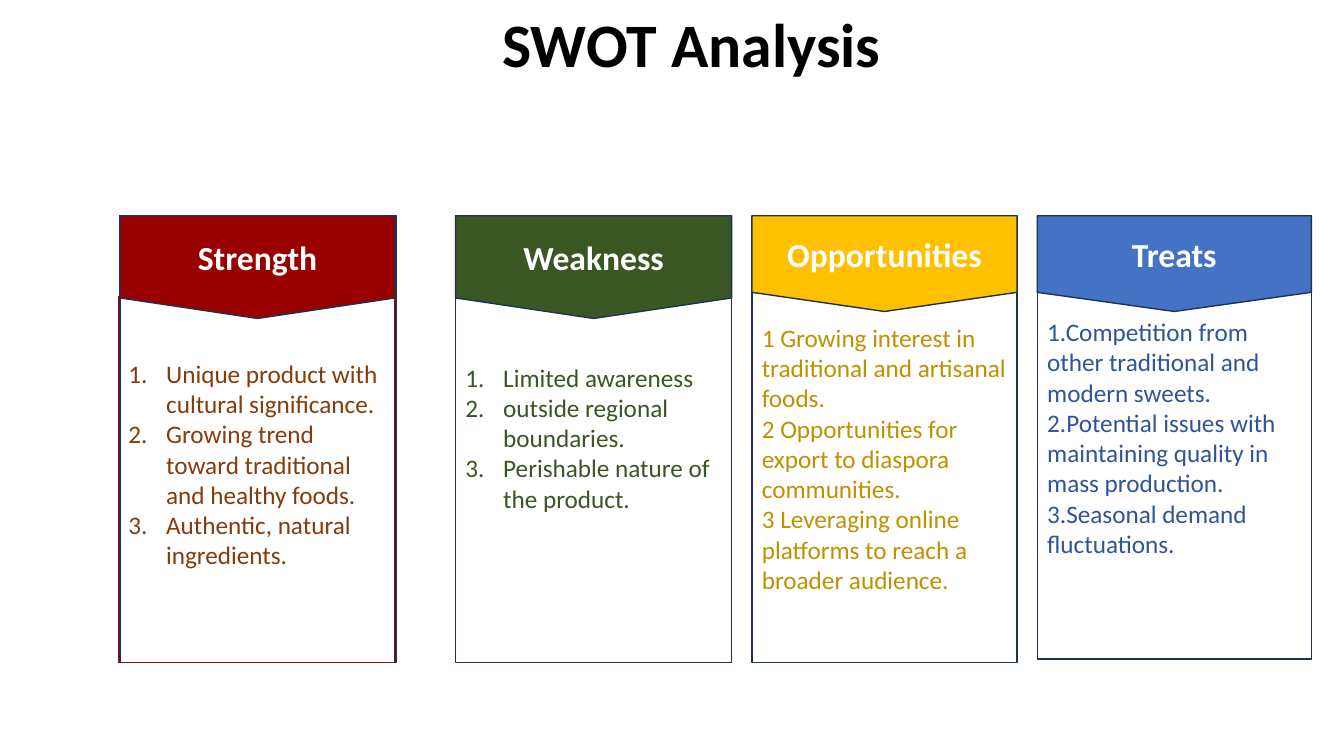
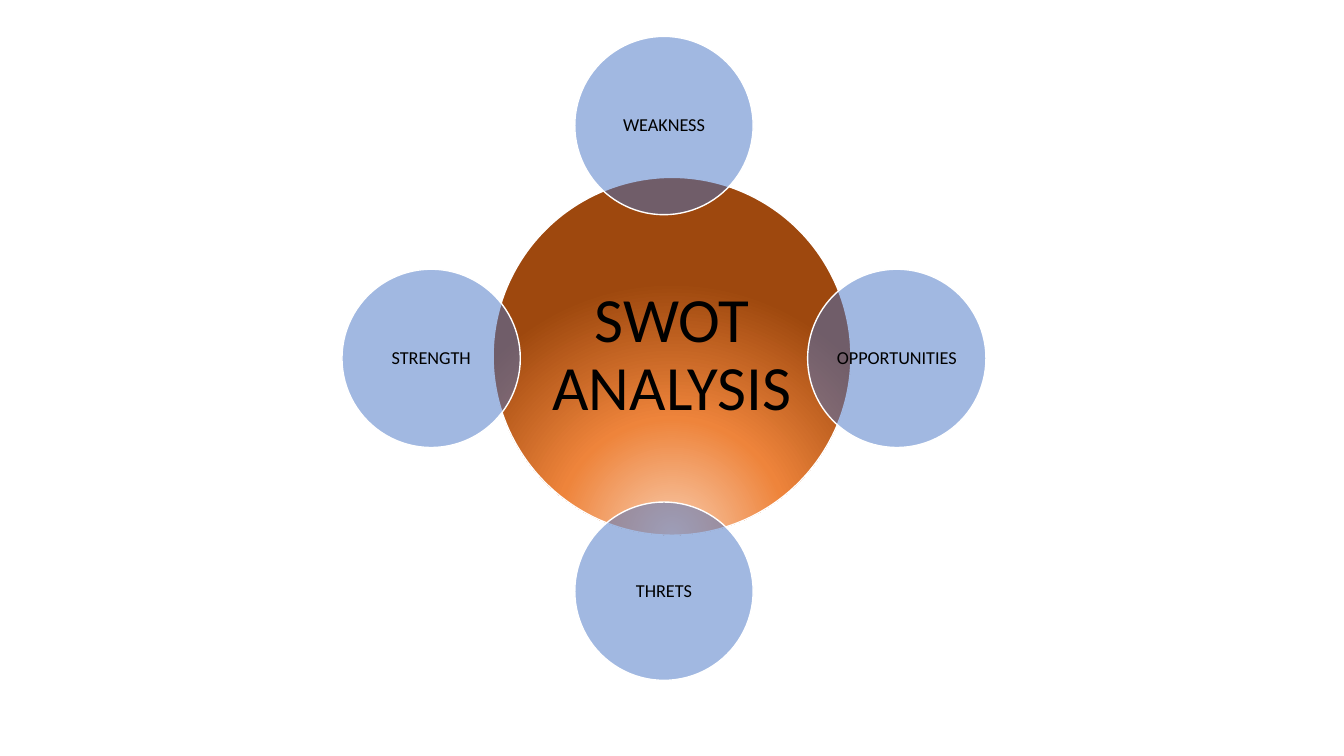
"""Build a two-slide SWOT deck: four labelled columns and a hub of circles."""
from dataclasses import dataclass
from math import cos, radians, sin
from typing import NamedTuple, Optional

from lxml.etree import SubElement
from pptx import Presentation
from pptx.dml.color import RGBColor
from pptx.enum.shapes import MSO_SHAPE as Preset
from pptx.enum.text import MSO_ANCHOR as Anchor, PP_ALIGN as Align
from pptx.oxml import parse_xml
from pptx.oxml.ns import nsdecls, qn
from pptx.shapes.autoshape import Shape
from pptx.slide import Slide
from pptx.util import Pt

FONT = "Calibri"
COLORS = {
    "black": "000000",
    "white": "FFFFFF",
    "navy": "1E3256",
    "red": "990000",
    "brown": "843C0B",
    "green": "385723",
    "gold": "FFC000",
    "ochre": "BF9000",
    "blue": "4472C4",
    "dark blue": "2F5597",
    "peach": "F8CBAD",
    "orange": "EE843B",
    "rust": "9E480E",
}
COLUMN_TOP = 154.1
LIST_INDENT = 27
HUB_STOPS = ((0, "peach"), (46, "orange"), (100, "rust"))
ORBIT_CENTER = (474.3, 256)
ORBIT_RADIUS = 166.3
SATELLITE_SIZE = 127.4


class Box(NamedTuple):
    left: float
    top: float
    width: float
    height: float


@dataclass(frozen=True)
class TextStyle:
    size: float
    color: str
    bold: bool = False
    align: Align = Align.LEFT
    spacing: float = 1.0
    numbered: bool = False


@dataclass(frozen=True)
class Column:
    heading: str
    fill: str
    ink: str
    frame: Box
    tab_width: float
    tab_height: float
    points: tuple[str, ...]
    list_box: Optional[Box] = None
    list_outline: Optional[str] = None
    bottom_inset: float = 3.6


@dataclass(frozen=True)
class Satellite:
    label: str
    angle: float


TITLE_STYLE = TextStyle(44.1, "black", bold=True, align=Align.CENTER, spacing=0.9)
TAB_STYLE = TextStyle(24, "white", bold=True, align=Align.CENTER)
HUB_STYLE = TextStyle(45, "black", align=Align.CENTER, spacing=0.9)
SATELLITE_STYLE = TextStyle(13, "black", align=Align.CENTER, spacing=0.9)

COLUMNS = (
    Column(
        "Strength", "red", "brown", Box(85.7, COLUMN_TOP, 197.3, 319), 196.6, 73.4,
        (
            "Unique product with cultural significance.",
            "Growing trend toward traditional and healthy foods.",
            "Authentic, natural ingredients.",
        ),
        Box(84.6, 211.7, 197.3, 261.4), "red", 25.2,
    ),
    Column(
        "Weakness", "green", "green", Box(325.4, COLUMN_TOP, 197.3, 319), 197.3, 73.4,
        (
            "Limited awareness",
            "outside regional boundaries.",
            "Perishable nature of the product.",
        ),
        Box(325.4, 181.8, 198.7, 261.4),
    ),
    Column(
        "Opportunities", "gold", "ochre", Box(537.1, 181.5, 189.4, 291.6), 189.4, 68.4,
        (
            "1 Growing interest in traditional and artisanal foods.",
            "2 Opportunities for export to diaspora communities.",
            "3 Leveraging online platforms to reach a broader audience.",
        ),
    ),
    Column(
        "Treats", "blue", "dark blue", Box(740.9, COLUMN_TOP, 195.8, 316.8), 195.8, 68.4,
        (
            "1.Competition from other traditional and modern sweets.",
            "2.Potential issues with maintaining quality in mass production.",
            "3.Seasonal demand fluctuations.",
        ),
    ),
)

SATELLITES = (
    Satellite("WEAKNESS", -90),
    Satellite("OPPORTUNITIES", 0),
    Satellite("THRETS", 90),
    Satellite("STRENGTH", 180),
)


def rgb(name: str) -> RGBColor:
    return RGBColor.from_string(COLORS[name])


def add_block(slide: Slide, box: Box, preset: Preset, outline: Optional[str],
              fill: Optional[str] = None) -> Shape:
    lengths = [Pt(length) for length in box]
    if outline is None:
        return slide.shapes.add_textbox(*lengths)
    block = slide.shapes.add_shape(preset, *lengths)
    block.shadow.inherit = False
    block.line.color.rgb = rgb(outline)
    block.line.width = Pt(1)
    if fill:
        block.fill.solid()
        block.fill.fore_color.rgb = rgb(fill)
    else:
        block.fill.background()
    return block


def write(block: Shape, lines: tuple[str, ...], style: TextStyle,
          inset: Optional[float] = None) -> None:
    frame = block.text_frame
    frame.word_wrap = True
    frame.vertical_anchor = Anchor.MIDDLE
    if inset is not None:
        frame.margin_left = frame.margin_right = Pt(inset)
        frame.margin_top = frame.margin_bottom = Pt(inset)
    for index, line in enumerate(lines):
        paragraph = frame.add_paragraph() if index else frame.paragraphs[0]
        paragraph.text = line
        paragraph.alignment = style.align
        paragraph.line_spacing = style.spacing
        if style.numbered:
            properties = paragraph._p.get_or_add_pPr()
            properties.set("marL", str(Pt(LIST_INDENT)))
            properties.set("indent", str(-Pt(LIST_INDENT)))
            SubElement(properties, qn("a:buFont"), typeface="+mj-lt")
            SubElement(properties, qn("a:buAutoNum"), type="arabicPeriod")
        font = paragraph.font
        font.name = FONT
        font.size = Pt(style.size)
        font.bold = style.bold
        font.color.rgb = rgb(style.color)


def add_column(slide: Slide, column: Column) -> None:
    body = add_block(slide, column.frame, Preset.RECTANGLE, "navy")
    tab_box = Box(column.frame.left, COLUMN_TOP, column.tab_width, column.tab_height)
    tab = add_block(slide, tab_box, Preset.FLOWCHART_OFFPAGE_CONNECTOR, "navy", column.fill)
    write(tab, (column.heading,), TAB_STYLE)
    if column.list_box:
        body = add_block(slide, column.list_box, Preset.RECTANGLE, column.list_outline)
    numbered = column.list_box is not None
    write(body, column.points, TextStyle(18, column.ink, numbered=numbered))
    body.text_frame.margin_bottom = Pt(column.bottom_inset)


def set_glow(block: Shape) -> None:
    stops = "".join(
        f'<a:gs pos="{percent * 1000}"><a:srgbClr val="{COLORS[name]}"/></a:gs>'
        for percent, name in HUB_STOPS
    )
    glow = parse_xml(
        f'<a:gradFill {nsdecls("a")} rotWithShape="1"><a:gsLst>{stops}</a:gsLst>'
        '<a:path path="circle"><a:fillToRect l="50000" t="130000" r="50000" b="-30000"/>'
        "</a:path></a:gradFill>"
    )
    properties = block._element.spPr
    properties.replace(properties.find(qn("a:noFill")), glow)


def add_satellite(slide: Slide, satellite: Satellite) -> None:
    angle = radians(satellite.angle)
    left = ORBIT_CENTER[0] + ORBIT_RADIUS * cos(angle) - SATELLITE_SIZE / 2
    top = ORBIT_CENTER[1] + ORBIT_RADIUS * sin(angle) - SATELLITE_SIZE / 2
    box = Box(left, top, SATELLITE_SIZE, SATELLITE_SIZE)
    circle = add_block(slide, box, Preset.OVAL, "white", "blue")
    tint = circle._element.spPr.find(qn("a:solidFill")).find(qn("a:srgbClr"))
    SubElement(tint, qn("a:alpha"), val="50000")
    write(circle, (satellite.label,), SATELLITE_STYLE, inset=1.3)


def build_columns(slide: Slide) -> None:
    title = add_block(slide, Box(230.4, 6.2, 527, 56), Preset.RECTANGLE, None)
    write(title, ("SWOT Analysis",), TITLE_STYLE)
    for column in COLUMNS:
        add_column(slide, column)


def build_hub(slide: Slide) -> None:
    hub = add_block(slide, Box(352.2, 126.7, 255.6, 255.6), Preset.OVAL, "white")
    set_glow(hub)
    write(hub, ("SWOT ANALYSIS",), HUB_STYLE, inset=4.5)
    for satellite in SATELLITES:
        add_satellite(slide, satellite)


def main() -> None:
    deck = Presentation()
    deck.slide_width, deck.slide_height = Pt(960), Pt(540)
    blank = deck.slide_layouts[6]
    for build in (build_columns, build_hub):
        build(deck.slides.add_slide(blank))
    deck.save("out.pptx")


if __name__ == "__main__":
    main()
